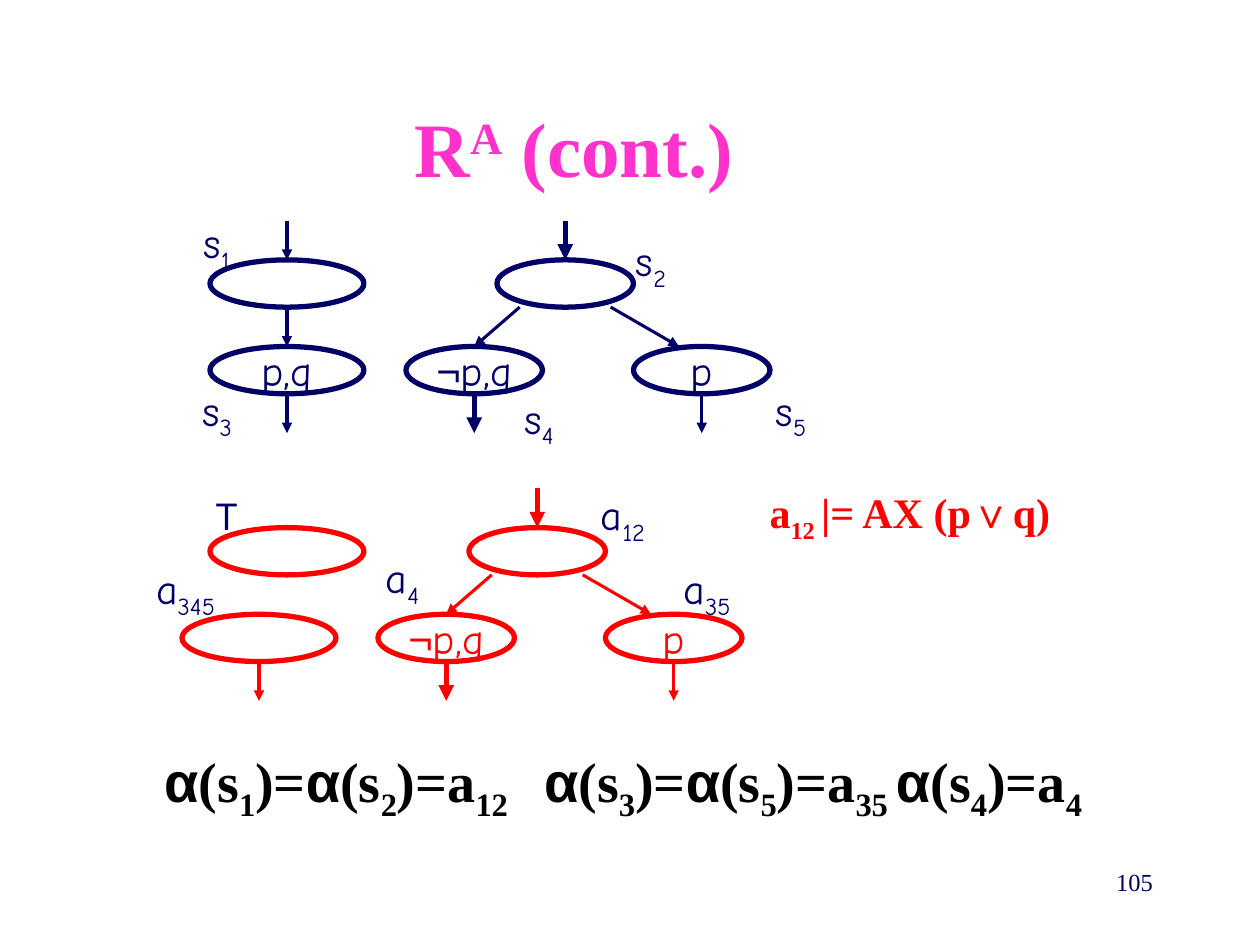
from lxml.etree import SubElement
from pptx import Presentation
from pptx.dml.color import RGBColor
from pptx.enum.shapes import MSO_CONNECTOR, MSO_SHAPE
from pptx.enum.text import MSO_ANCHOR, MSO_AUTO_SIZE, PP_ALIGN
from pptx.oxml.ns import qn
from pptx.util import Inches, Pt

NAVY, RED, PINK, BLACK = "000066", "FF0000", "FF33CC", "000000"
SERIF, HAND, SANS = "Times New Roman", "Comic Neue", "Arial"
COLUMN, ROW = Inches(10) / 360, Inches(7.5) / 120
WIDE, NARROW, NODE_HEIGHT, ARROW_HEIGHT = 44, 39, 6, 5
LEVEL = NODE_HEIGHT + ARROW_HEIGHT
SUB, SUPER = -25, 30


def color(value):
    """Turn a hex string into a colour."""
    return RGBColor.from_string(value)


def point(column, row):
    """Turn a grid position into slide lengths."""
    return round(column * COLUMN), round(row * ROW)


def add_runs(paragraph, runs, size, tint, font, bold=False):
    """Add runs given as text, baseline, font override and letter spacing."""
    for text, base, own_font, spacing in runs:
        run = paragraph.add_run()
        run.text = text
        run.font.size, run.font.bold = Pt(size), bold
        run.font.name = own_font or font
        run.font.color.rgb = color(tint)
        if base:
            run.font._element.set("baseline", str(base * 1000))
        if spacing:
            run.font._element.set("spc", str(spacing * 100))


def part(text, base=0, font=None, spacing=0):
    """Describe one run."""
    return text, base, font, spacing


def add_label(slide, box, runs, tint=NAVY, font=HAND, size=24, bold=False,
              before=15, align=PP_ALIGN.CENTER, grow=True):
    """Add a text box on the grid."""
    column, row, width, height = box
    shape = slide.shapes.add_textbox(*point(column, row), *point(width, height))
    frame = shape.text_frame
    frame.word_wrap = True
    frame.auto_size = MSO_AUTO_SIZE.SHAPE_TO_FIT_TEXT if grow else MSO_AUTO_SIZE.NONE
    paragraph = frame.paragraphs[0]
    paragraph.alignment = align
    paragraph.space_before = Pt(before)
    add_runs(paragraph, runs, size, tint, font, bold)


def add_node(group, column, row, width, tint, runs=()):
    """Add an outlined state ellipse with an optional caption."""
    node = group.shapes.add_shape(MSO_SHAPE.OVAL, *point(column, row),
                                  *point(width, NODE_HEIGHT))
    node.shadow.inherit = False
    node.fill.solid()
    node.fill.fore_color.rgb = color("FFFFFF")
    node.line.color.rgb = color(tint)
    node.line.width = Pt(3)
    if runs:
        frame = node.text_frame
        frame.word_wrap = False
        frame.vertical_anchor = MSO_ANCHOR.MIDDLE
        frame.paragraphs[0].alignment = PP_ALIGN.CENTER
        add_runs(frame.paragraphs[0], runs, 24, tint, HAND)
    return node


def add_arrow(group, start, end_column, tint, thick=False, target=None):
    """Add an arrow one gap high, joined to the top of its target."""
    column, row = start
    arrow = group.shapes.add_connector(MSO_CONNECTOR.STRAIGHT, *point(column, row),
                                       *point(end_column, row + ARROW_HEIGHT))
    arrow.line.color.rgb = color(tint)
    arrow.line.width = Pt(3 if thick else 1.75)
    SubElement(arrow.line._get_or_add_ln(), qn("a:tailEnd"), type="triangle")
    SubElement(arrow._element.spPr, qn("a:effectLst"))
    if target is not None:
        arrow.end_connect(target, 0)


def add_drop(group, column, row, tint, thick=False, target=None):
    """Add a vertical arrow."""
    add_arrow(group, (column, row), column, tint, thick, target)


def add_tree(group, column, row, tint):
    """Add a root state with its two successors."""
    root_left, right = column + 26, column + 65
    middle = NARROW / 2
    child_row = row + LEVEL
    root = add_node(group, root_left, row, NARROW, tint)
    left_child = add_node(group, column, child_row, NARROW, tint,
                          [part("¬", font=SANS), part("p,q")])
    add_node(group, right, child_row, NARROW, tint, [part("p")])
    add_drop(group, root_left + middle, row - ARROW_HEIGHT, tint, True, root)
    add_arrow(group, (column + 32.5, row + NODE_HEIGHT), column + middle, tint,
              target=left_child)
    add_arrow(group, (column + 58.5, row + NODE_HEIGHT), column + 78, tint)
    exit_row = child_row + NODE_HEIGHT
    add_drop(group, column + middle, exit_row, tint, True)
    add_drop(group, right + middle, exit_row, tint)


def add_concrete_model(slide):
    """Add the navy model."""
    group = slide.shapes.add_group_shape()
    column, row, middle = 60, 33, 60 + WIDE / 2
    first = add_node(group, column, row, WIDE, NAVY)
    second = add_node(group, column, row + LEVEL, WIDE, NAVY, [part("p,q")])
    for level, target in enumerate((first, second, None)):
        add_drop(group, middle, row - ARROW_HEIGHT + level * LEVEL, NAVY, target=target)
    add_tree(group, 116, row, NAVY)


def add_abstract_model(slide):
    """Add the red model."""
    group = slide.shapes.add_group_shape()
    column, row = 52, 67
    add_node(group, column, row + LEVEL, WIDE, RED)
    add_drop(group, column + WIDE / 2, row + LEVEL + NODE_HEIGHT, RED)
    add_tree(group, 108, row, RED)
    add_node(group, 60, row, WIDE, RED)


def add_state_labels(slide):
    """Name the states of both models."""
    labels = [("s", "1", 48, 26.7, 28), ("s", "3", 48, 48, 28),
              ("s", "2", 172, 29, 28), ("s", "5", 212, 48, 28),
              ("s", "4", 140, 49, 28), ("a", "12", 162, 61.3, 32),
              ("a", "4", 99, 69.3, 32), ("a", "35", 180, 70.7, 44),
              ("a", "345", 27, 70.7, 52)]
    for letter, index, column, row, width in labels:
        add_label(slide, (column, row, width, 9), [part(letter), part(index, SUB)])


def mapping(states, target):
    """Describe the runs that map states to an abstract state."""
    runs = []
    for state in states:
        runs += [part("α", font=SANS), part("(s"), part(state, SUB), part(")=")]
    return runs + [part("a"), part(target, SUB)]


def main():
    """Build the slide."""
    presentation = Presentation()
    presentation.slide_width, presentation.slide_height = Inches(10), Inches(7.5)
    slide = presentation.slides.add_slide(presentation.slide_layouts[6])
    add_label(slide, (88, 12, 152, 13.4),
              [part("R"), part("A", SUPER), part(" (cont.)")],
              PINK, SERIF, 44, True, 27.5)
    add_concrete_model(slide)
    add_state_labels(slide)
    add_label(slide, (188, 61, 144, 9),
              [part("a"), part("12 ", SUB), part("|= AX (p"),
               part("∨", font=SANS), part("q)")], RED, SERIF, bold=True)
    add_abstract_model(slide)
    add_label(slide, (51, 61.3, 28, 8), [part("T")], font="Karla")
    formula = (mapping("12", "12") + [part(" ", SUB, spacing=16)]
               + mapping("35", "35") + [part(" ", SUB)] + mapping("4", "4"))
    add_label(slide, (28, 94, 300, 11.4), formula, BLACK, SERIF, 32, True, 20)
    add_label(slide, (258, 109.3, 75, 8), [part("105")], NAVY, SERIF, 14,
              before=0, align=PP_ALIGN.RIGHT, grow=False)
    presentation.save("out.pptx")


if __name__ == "__main__":
    main()
